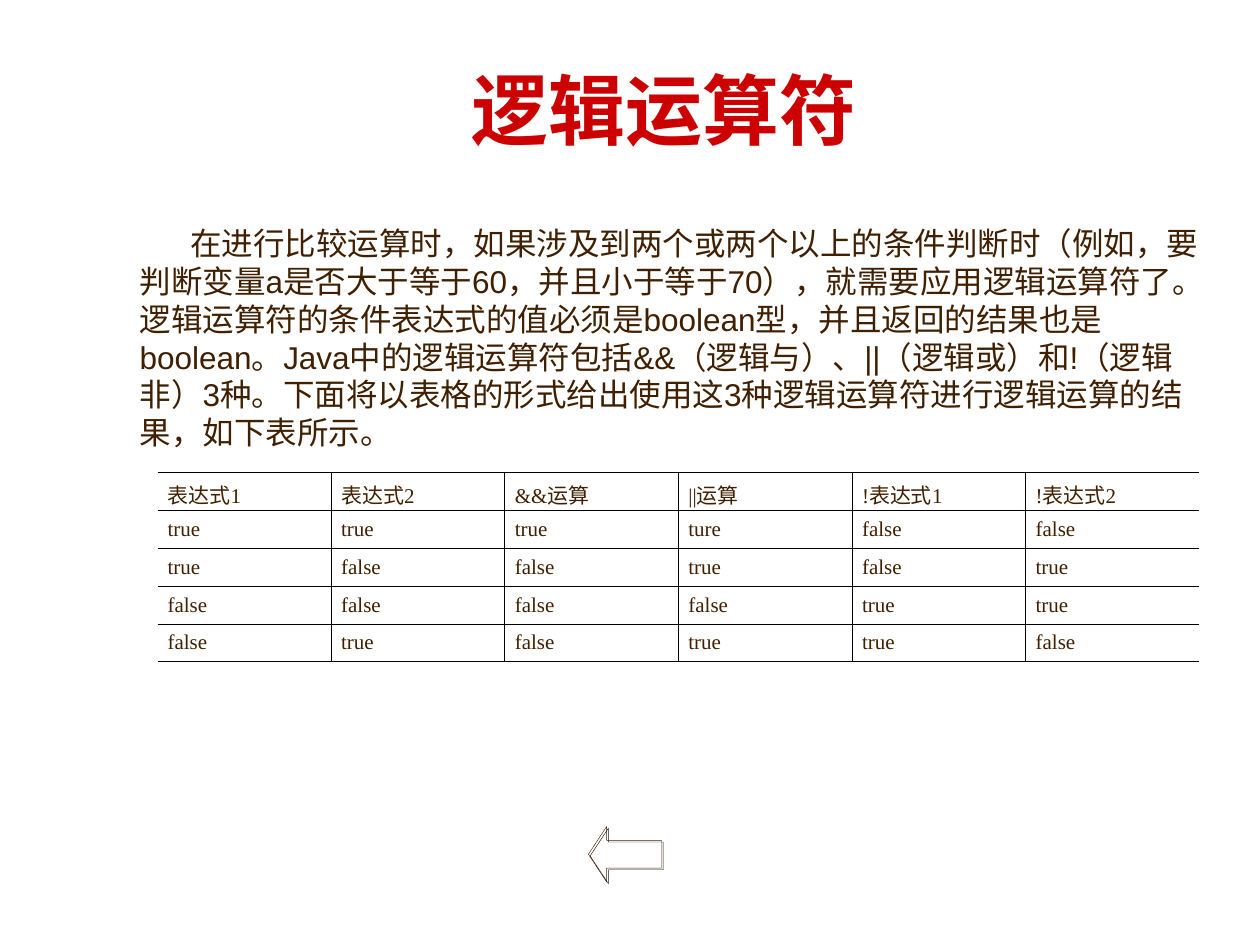
from dataclasses import dataclass

from lxml.etree import SubElement as Sub
from pptx import Presentation
from pptx.dml.color import RGBColor as RGB
from pptx.enum.shapes import MSO_SHAPE as Shape
from pptx.enum.text import MSO_ANCHOR as Anchor, MSO_AUTO_SIZE as Auto, PP_ALIGN as Align
from pptx.oxml.ns import qn
from pptx.util import Inches, Pt


@dataclass(frozen=True)
class Theme:
    ink: str = "402000"
    red: str = "CC0000"
    rule: str = "000000"
    shade: str = "261300"
    sans: str = "Arial"
    serif: str = "Times New Roman"
    head: float = 44
    body: float = 18
    cell: float = 12
    thin: float = 0.45
    fine: float = 0.25


@dataclass(frozen=True)
class Box:
    left: float
    top: float
    width: float
    height: float

    def place(self) -> tuple:
        return tuple(Inches(n) for n in (self.left, self.top, self.width, self.height))


@dataclass(frozen=True)
class Style:
    face: str
    size: float
    ink: str
    bold: bool = False


THEME = Theme()
TITLE = Style(THEME.serif, THEME.head, THEME.red, True)
BODY = Style(THEME.sans, THEME.body, THEME.ink)
CELL = Style(THEME.serif, THEME.cell, THEME.ink)

INTRO = (
    "在进行比较运算时，如果涉及到两个或两个以上的条件判断时（例如，要判断变量a是否大于等于60，"
    "并且小于等于70），就需要应用逻辑运算符了。逻辑运算符的条件表达式的值必须是boolean型，"
    "并且返回的结果也是boolean。Java中的逻辑运算符包括&&（逻辑与）、||（逻辑或）和!（逻辑非）3种。"
    "下面将以表格的形式给出使用这3种逻辑运算符进行逻辑运算的结果，如下表所示。"
)
ROWS = (
    ("表达式1", "表达式2", "&&运算", "||运算", "!表达式1", "!表达式2"),
    ("true", "true", "true", "ture", "false", "false"),
    ("true", "false", "false", "true", "false", "true"),
    ("false", "false", "false", "false", "true", "true"),
    ("false", "true", "false", "true", "true", "false"),
)


def write(para, text: str, style: Style) -> None:
    run = para.add_run()
    run.text = text
    font = run.font
    font.name, font.size, font.bold = style.face, Pt(style.size), style.bold
    font.color.rgb = RGB.from_string(style.ink)


def add_title(slide, box: Box) -> None:
    title = slide.shapes.title
    title.left, title.top, title.width, title.height = box.place()
    frame = title.text_frame
    frame.auto_size, frame.vertical_anchor = Auto.NONE, Anchor.MIDDLE
    para = frame.paragraphs[0]
    para.alignment = Align.CENTER
    write(para, "逻辑运算符", TITLE)


def add_intro(slide, box: Box) -> None:
    frame = slide.shapes.add_textbox(*box.place()).text_frame
    frame.word_wrap, frame.auto_size = True, Auto.SHAPE_TO_FIT_TEXT
    para = frame.paragraphs[0]
    para.space_before = Pt(11.2)
    props = para._p.get_or_add_pPr()
    props.set("marL", "0")
    props.set("indent", str(Inches(0.4)))
    write(para, INTRO, BODY)


def add_edge(cell, side: str, shown: bool) -> None:
    line = Sub(cell._tc.get_or_add_tcPr(), qn(f"a:ln{side}"), w=str(Pt(THEME.thin)))
    if shown:
        Sub(Sub(line, qn("a:solidFill")), qn("a:srgbClr"), val=THEME.rule)
    else:
        Sub(line, qn("a:noFill"))


def add_cell(cell, text: str, first: bool, last: bool) -> None:
    cell.margin_left = cell.margin_right = Inches(0.08)
    cell.margin_top = cell.margin_bottom = Inches(0.05)
    cell.vertical_anchor = Anchor.MIDDLE
    for side, shown in (("L", not first), ("R", not last), ("T", True), ("B", True)):
        add_edge(cell, side, shown)
    cell.fill.background()
    para = cell.text_frame.paragraphs[0]
    para.alignment = Align.JUSTIFY
    para.space_before = para.space_after = Pt(1.2)
    write(para, text, CELL)


def add_grid(slide, box: Box) -> None:
    last = len(ROWS[0]) - 1
    table = slide.shapes.add_table(len(ROWS), last + 1, *box.place()).table
    table.first_row = table.horz_banding = False
    for r, row in enumerate(ROWS):
        for c, text in enumerate(row):
            add_cell(table.cell(r, c), text, c == 0, c == last)


def add_arrow(slide, box: Box) -> None:
    arrow = slide.shapes.add_shape(Shape.LEFT_ARROW, *box.place())
    arrow.adjustments[0], arrow.adjustments[1] = 0.5, 0.33
    arrow.fill.background()
    arrow.line.color.rgb = RGB.from_string(THEME.ink)
    arrow.line.width = Pt(THEME.fine)
    arrow.shadow.inherit = False
    glow = arrow._element.spPr.find(qn("a:effectLst"))
    cast = Sub(glow, qn("a:outerShdw"), dist=str(Pt(1.4)), dir=str(45 * 60000))
    Sub(cast, qn("a:srgbClr"), val=THEME.shade)


def main() -> None:
    """Build the slide on logical operators and save it."""
    deck = Presentation()
    deck.slide_width, deck.slide_height = Inches(10), Inches(7.5)
    slide = deck.slides.add_slide(deck.slide_layouts[5])
    add_title(slide, Box(1.01, 0.31, 8.52, 1.11))
    add_intro(slide, Box(1.01, 1.73, 8.72, 1.9))
    add_arrow(slide, Box(4.67, 6.56, 0.58, 0.44))
    add_grid(slide, Box(1.25, 3.75, 8.27, 1.48))
    deck.save("out.pptx")


if __name__ == "__main__":
    main()
